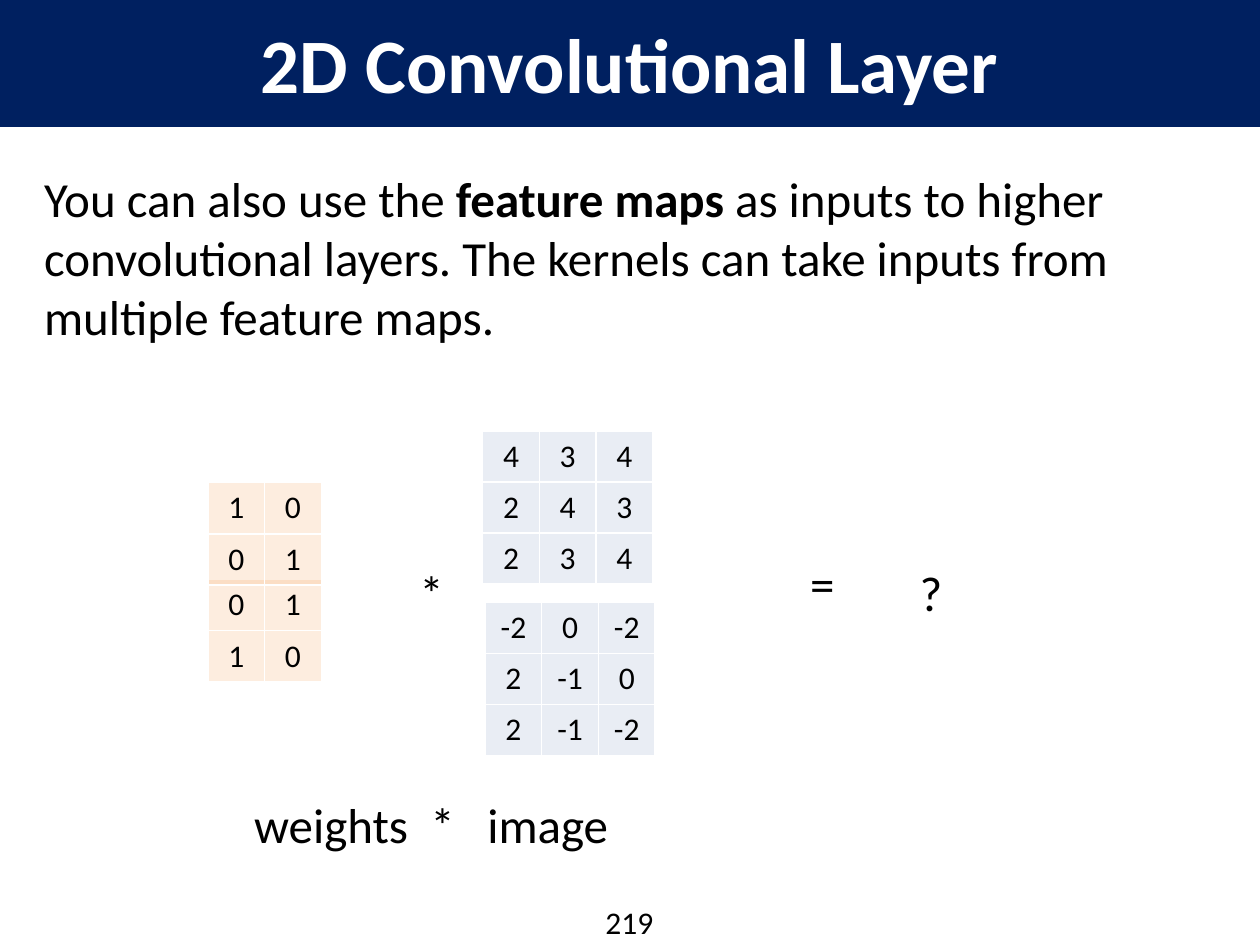
from lxml import etree
from pptx import Presentation
from pptx.dml.color import RGBColor
from pptx.enum.text import MSO_ANCHOR, MSO_AUTO_SIZE, PP_ALIGN
from pptx.oxml.ns import qn
from pptx.util import Pt

CENTER, LEFT = PP_ALIGN.CENTER, PP_ALIGN.LEFT
TOP, MIDDLE = MSO_ANCHOR.TOP, MSO_ANCHOR.MIDDLE
FONT = "Calibri"
NAVY, BLACK, WHITE = "002060", "000000", "FFFFFF"
ORANGE, PALE_BLUE = "F79646", "E9EDF4"
CELL_WIDTH, CELL_HEIGHT = 32.4, 29.2

# Content: runs are (text, bold); boxes are left, top, width, height in points
TITLE = [("2D Convolutional Layer", True)]
BODY = [
    ("You can also use the ", False),
    ("feature maps", True),
    (" as inputs to higher convolutional layers. "
     "The kernels can take inputs from multiple feature maps.", False),
]
LABELS = [
    # text, box, size, alignment
    ("219", (329.8, 512.6, 59.8, 28.8), 18, CENTER),
    ("weights  *", (138.2, 450.7, 133.9, 41), 28, LEFT),
    ("image", (271.4, 450.7, 108, 41), 28, LEFT),
    ("=", (455.8, 312.5, 108, 41), 28, LEFT),
    ("*", (232.6, 318.2, 27.4, 41), 28, LEFT),
    ("?", (518.4, 318.2, 27.4, 41), 28, LEFT),
]
MATRICES = [
    # left, top, fill, opacity in percent, values
    (118.8, 331.2, ORANGE, 17, [(0, 1), (1, 0)]),
    (277.2, 344.2, PALE_BLUE, 100, [(-2, 0, -2), (2, -1, 0), (2, -1, -2)]),
    (118.8, 275.8, ORANGE, 17, [(1, 0), (0, 1)]),
    (275.8, 246.2, PALE_BLUE, 100, [(4, 3, 4), (2, 4, 3), (2, 3, 4)]),
]


def color(value):
    return RGBColor.from_string(value)


def place(shape, box):
    shape.left, shape.top, shape.width, shape.height = map(Pt, box)


def write(text_frame, runs, size, text_color=BLACK, alignment=LEFT):
    paragraph = text_frame.paragraphs[0]
    paragraph.alignment = alignment
    paragraph.space_before = Pt(0)
    for text, bold in runs:
        run = paragraph.add_run()
        run.text = text
        run.font.name, run.font.size, run.font.bold = FONT, Pt(size), bold
        run.font.color.rgb = color(text_color)
    return paragraph


def style_cell(cell, fill, opacity):
    properties = cell._tc.get_or_add_tcPr()
    for side in ("a:lnL", "a:lnR", "a:lnT", "a:lnB"):
        line = etree.SubElement(properties, qn(side), w=str(Pt(1)))
        solid = etree.SubElement(line, qn("a:solidFill"))
        etree.SubElement(solid, qn("a:srgbClr"), val=WHITE)
    cell.fill.solid()
    cell.fill.fore_color.rgb = color(fill)
    if opacity < 100:
        fill_color = properties.find(qn("a:solidFill")).find(qn("a:srgbClr"))
        etree.SubElement(fill_color, qn("a:alpha"), val=str(opacity * 1000))


def add_matrix(slide, left, top, fill, opacity, values):
    rows, columns = len(values), len(values[0])
    table = slide.shapes.add_table(
        rows, columns, Pt(left), Pt(top),
        Pt(columns * CELL_WIDTH), Pt(rows * CELL_HEIGHT)).table
    table.first_row = table.horz_banding = False
    for row_index, row in enumerate(values):
        for column_index, value in enumerate(row):
            cell = table.cell(row_index, column_index)
            write(cell.text_frame, [(str(value), False)], 18, alignment=CENTER)
            style_cell(cell, fill, opacity)


presentation = Presentation()
presentation.slide_width, presentation.slide_height = Pt(720), Pt(540)
slide = presentation.slides.add_slide(presentation.slide_layouts[1])

# Title band
title = slide.shapes.title
place(title, (0, 0, 720, 72))
title.fill.solid()
title.fill.fore_color.rgb = color(NAVY)
title.line.color.rgb = color(NAVY)
title.line.width = Pt(0.75)
title.text_frame.vertical_anchor = MIDDLE
title.text_frame.auto_size = MSO_AUTO_SIZE.NONE
write(title.text_frame, TITLE, 44, WHITE, CENTER)

# Body text without a bullet
body = slide.placeholders[1]
place(body, (18, 92.9, 684, 143.3))
body.text_frame.vertical_anchor = TOP
body.text_frame.auto_size = MSO_AUTO_SIZE.NONE
paragraph_properties = write(body.text_frame, BODY, 28)._p.get_or_add_pPr()
paragraph_properties.set("marL", "0")
paragraph_properties.set("indent", "0")
etree.SubElement(paragraph_properties, qn("a:buNone"))

# Kernels and feature maps
for matrix in MATRICES:
    add_matrix(slide, *matrix)

# Operators, captions and page number
for text, box, size, alignment in LABELS:
    label = slide.shapes.add_textbox(*map(Pt, box))
    label.text_frame.word_wrap = True
    write(label.text_frame, [(text, False)], size, alignment=alignment)

presentation.save("out.pptx")
